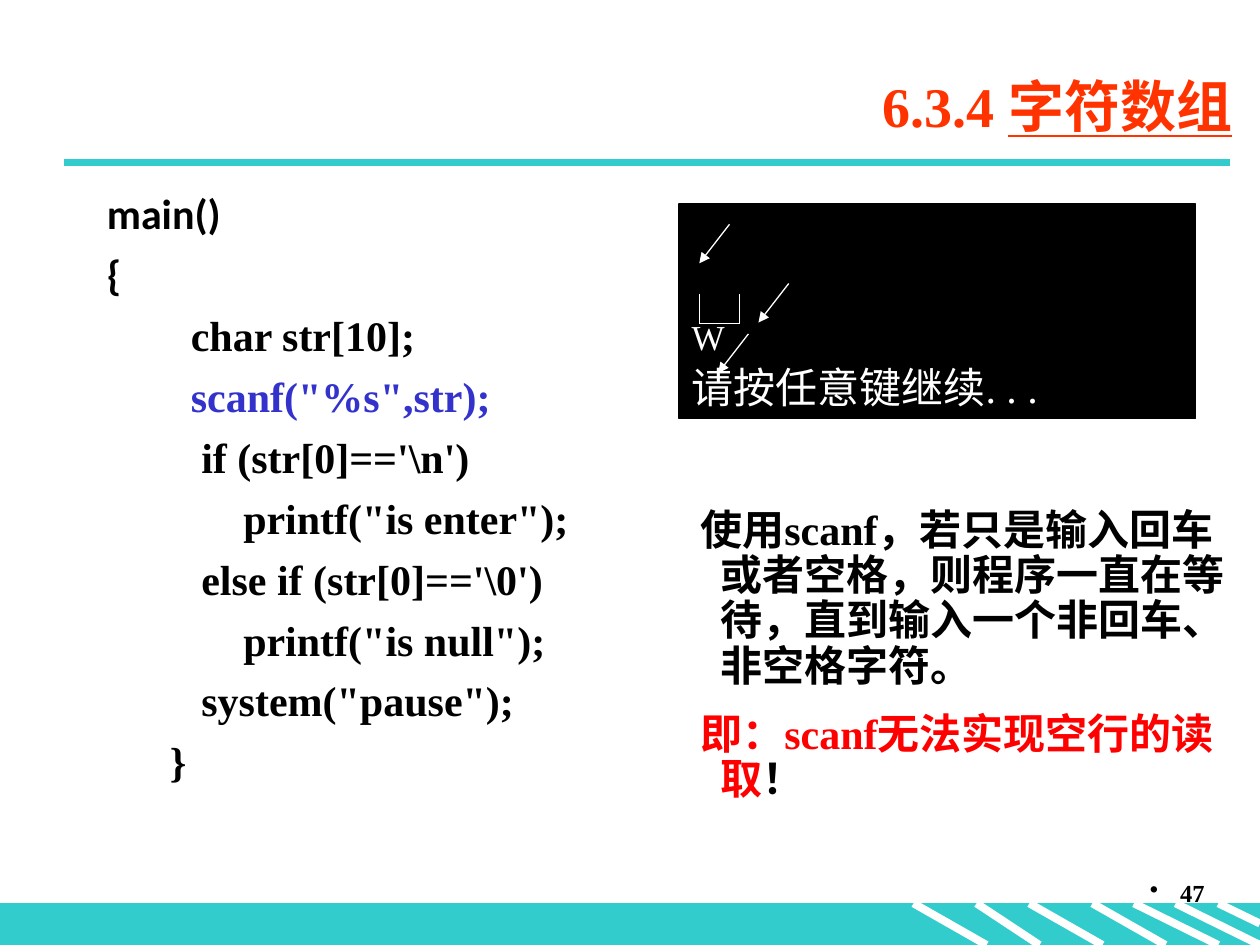
"""Build the slide on reading an empty line into a character array."""
from dataclasses import dataclass

from lxml import etree
from pptx import Presentation
from pptx.dml.color import RGBColor
from pptx.enum import shapes, text
from pptx.oxml.ns import qn
from pptx.util import Inches, Pt


@dataclass(frozen=True)
class Theme:
    teal: str = "33CCCC"
    title: str = "FF3300"
    code: str = "3333CC"
    alert: str = "FF0000"
    black: str = "000000"
    white: str = "FFFFFF"
    serif: str = "Times New Roman"
    sans: str = "Calibri"
    title_size: int = 32
    body_size: int = 24
    echo_size: int = 20
    number_size: int = 14
    thick: float = 4.5
    thin: float = 0.75


THEME = Theme()

TITLE = [("6.3.4 ", False), ("字符数组", True)]
CODE = [
    (0, "main()"),
    (0, "{"),
    (1, "  char str[10];"),
    (1, "  scanf(\"%s\",str);"),
    (1, "   if (str[0]=='\\n')"),
    (1, "       printf(\"is enter\");"),
    (1, "   else if (str[0]=='\\0')"),
    (1, "       printf(\"is null\");"),
    (1, "   system(\"pause\");"),
    (1, "}"),
]
HIGHLIGHT = "scanf("
CODE_LEVELS = [(THEME.sans, 0.38, -0.38), (THEME.serif, 0.81, -0.31)]
REMARKS = [
    [("使用scanf，若只是输入回车或者空格，则程序一直在等待，直到输入一个非回车、非空格字符。", THEME.black)],
    [("即：scanf无法实现空行的读取", THEME.alert), ("！", THEME.black)],
]
CONSOLE = [("W", THEME.echo_size), ("请按任意键继续. . .", THEME.body_size)]
PAGE_NUMBER = "47"

BAND_TOP, BAND_BOTTOM = 7.17, 7.5
STRIPES = [(7.25, 0.58), (7.75, 0.5), (8.17, 0.58), (8.67, 0.58), (9, 0.67), (9.33, 0.67)]
SHORT_STRIPE = (9.67, BAND_TOP, 10, 7.33)
ENTER_KEYS = [(5.79, 1.78), (6.26, 2.25), (5.94, 2.65)]
KEY_REACH = (-0.24, 0.31)
SPACE_MARK = [(5.55, 2.33), (5.55, 2.57), (5.87, 2.57), (5.87, 2.33)]


def color(value):
    return RGBColor.from_string(value)


def add_line(page, start_x, start_y, end_x, end_y, shade, width, arrow=False):
    line = page.shapes.add_connector(
        shapes.MSO_CONNECTOR.STRAIGHT, *map(Inches, (start_x, start_y, end_x, end_y)))
    line.line.color.rgb = color(shade)
    line.line.width = Pt(width)
    if arrow:
        etree.SubElement(line.line._get_or_add_ln(), qn("a:tailEnd"), type="triangle")
    etree.SubElement(line._element.spPr, qn("a:effectLst"))


def add_block(page, area, shade):
    block = page.shapes.add_shape(shapes.MSO_SHAPE.RECTANGLE, *map(Inches, area))
    block.shadow.inherit = False
    block.fill.solid()
    block.fill.fore_color.rgb = color(shade)
    block.line.color.rgb = color(shade)
    block.line.width = Pt(THEME.thin)
    return block


def add_text(page, *area):
    frame = page.shapes.add_textbox(*map(Inches, area)).text_frame
    frame.word_wrap = True
    return frame


def add_para(frame, index, spans, size, face=THEME.serif, shade=None, bold=True,
             margin=0, indent=0, before=0, bullet=None, align=text.PP_ALIGN.LEFT):
    para = frame.add_paragraph() if index else frame.paragraphs[0]
    props = para._p.get_or_add_pPr()
    props.set("marL", str(Inches(margin)))
    props.set("indent", str(Inches(indent)))
    if bullet:
        etree.SubElement(props, qn("a:buChar"), char=bullet)
    para.alignment = align
    para.space_before = Pt(before if index else 0)
    para.font.name, para.font.size, para.font.bold = face, Pt(size), bold
    if shade:
        para.font.color.rgb = color(shade)
    for words in spans:
        para.add_run().text = words
    return para


def draw_frame(page):
    add_block(page, (0, BAND_TOP, 10, BAND_BOTTOM - BAND_TOP), THEME.teal)
    stripes = [(left, BAND_TOP, left + run, BAND_BOTTOM) for left, run in STRIPES]
    for stripe in stripes + [SHORT_STRIPE]:
        add_line(page, *stripe, THEME.white, THEME.thick)
    add_line(page, 0.51, 1.29, 9.76, 1.29, THEME.teal, THEME.thick)
    number = add_text(page, 7.58, 6.92, 2.08, 0.5)
    add_para(number, 0, [PAGE_NUMBER], THEME.number_size, shade=THEME.black,
             margin=0.24, indent=-0.24, bullet="•", align=text.PP_ALIGN.RIGHT)


def draw_title(page):
    frame = add_text(page, 1.38, 0.44, 8.5, 0.79)
    frame.vertical_anchor = text.MSO_ANCHOR.MIDDLE
    para = add_para(frame, 0, [words for words, _ in TITLE], THEME.title_size,
                    shade=THEME.title, align=text.PP_ALIGN.RIGHT)
    for span, (_, underlined) in zip(para.runs, TITLE):
        span.font.underline = underlined


def draw_code(page):
    frame = add_text(page, 0.75, 1.44, 8.5, 5.04)
    for index, (level, line) in enumerate(CODE):
        face, margin, indent = CODE_LEVELS[level]
        shade = THEME.code if line.strip().startswith(HIGHLIGHT) else THEME.black
        para = add_para(frame, index, [line], THEME.body_size, face, shade,
                        margin=margin, indent=indent, before=6)
        para.level = level


def draw_remarks(page):
    frame = add_text(page, 5.24, 3.99, 4.76, 2.48)
    for index, spans in enumerate(REMARKS):
        para = add_para(frame, index, [words for words, _ in spans], THEME.body_size,
                        margin=0.38, indent=-0.16, before=13)
        para.line_spacing = 0.9
        for span, (_, shade) in zip(para.runs, spans):
            span.font.color.rgb = color(shade)


def draw_console(page):
    frame = add_block(page, (5.39, 1.62, 4.1, 1.7), THEME.black).text_frame
    frame.word_wrap = True
    frame.vertical_anchor = text.MSO_ANCHOR.BOTTOM
    for index, (words, size) in enumerate(CONSOLE):
        para = add_para(frame, index, [words], size, shade=THEME.white, bold=False,
                        margin=0.38, indent=-0.38, before=5)
        para.line_spacing = 0.9
    for left, top in ENTER_KEYS:
        add_line(page, left, top, left + KEY_REACH[0], top + KEY_REACH[1],
                 THEME.white, THEME.thin, arrow=True)
    for start, end in zip(SPACE_MARK, SPACE_MARK[1:]):
        add_line(page, *start, *end, THEME.white, THEME.thin)


def main():
    deck = Presentation()
    deck.slide_width, deck.slide_height = Inches(10), Inches(7.5)
    page = deck.slides.add_slide(deck.slide_layouts[6])
    for draw in (draw_frame, draw_title, draw_code, draw_remarks, draw_console):
        draw(page)
    deck.save("out.pptx")


if __name__ == "__main__":
    main()
